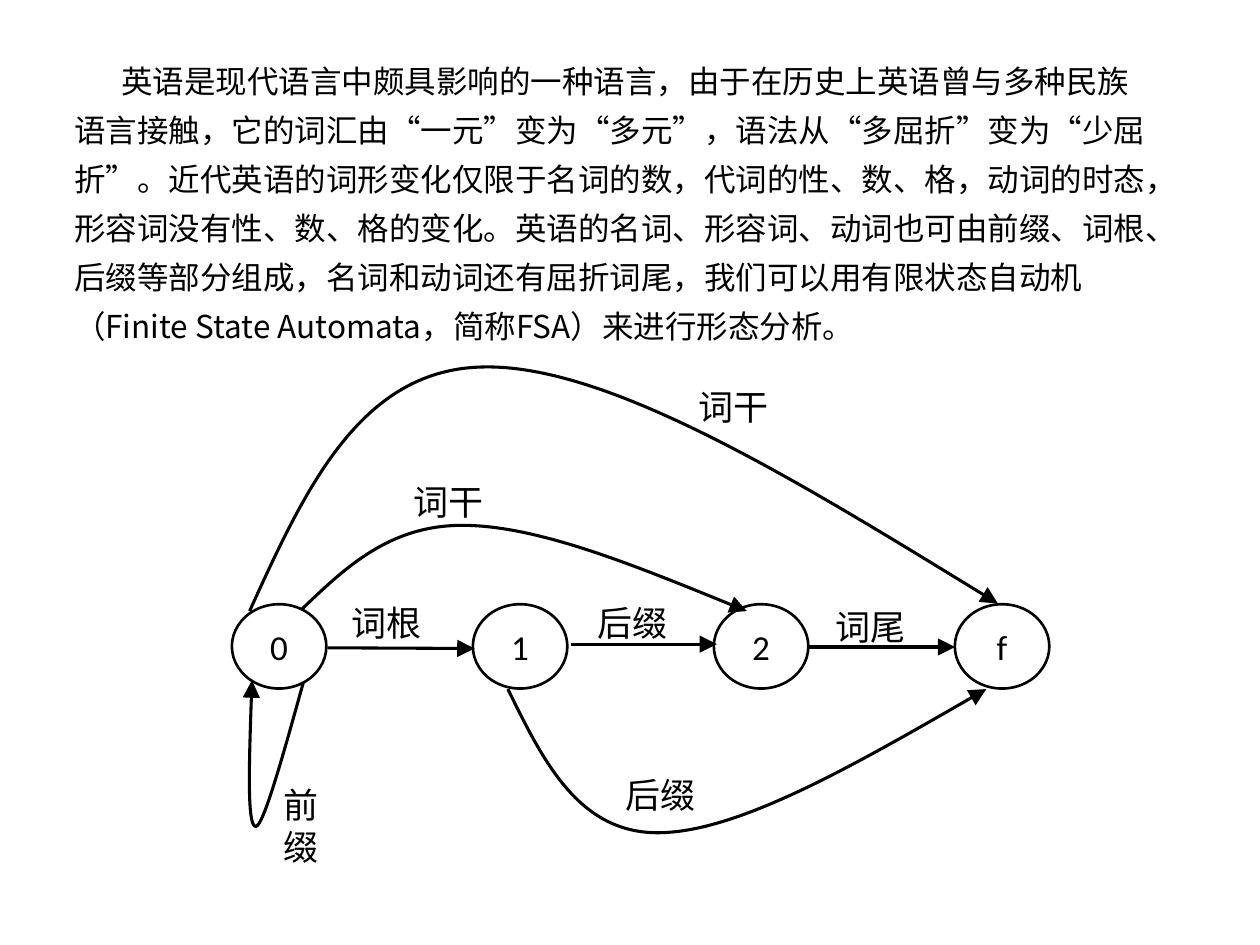
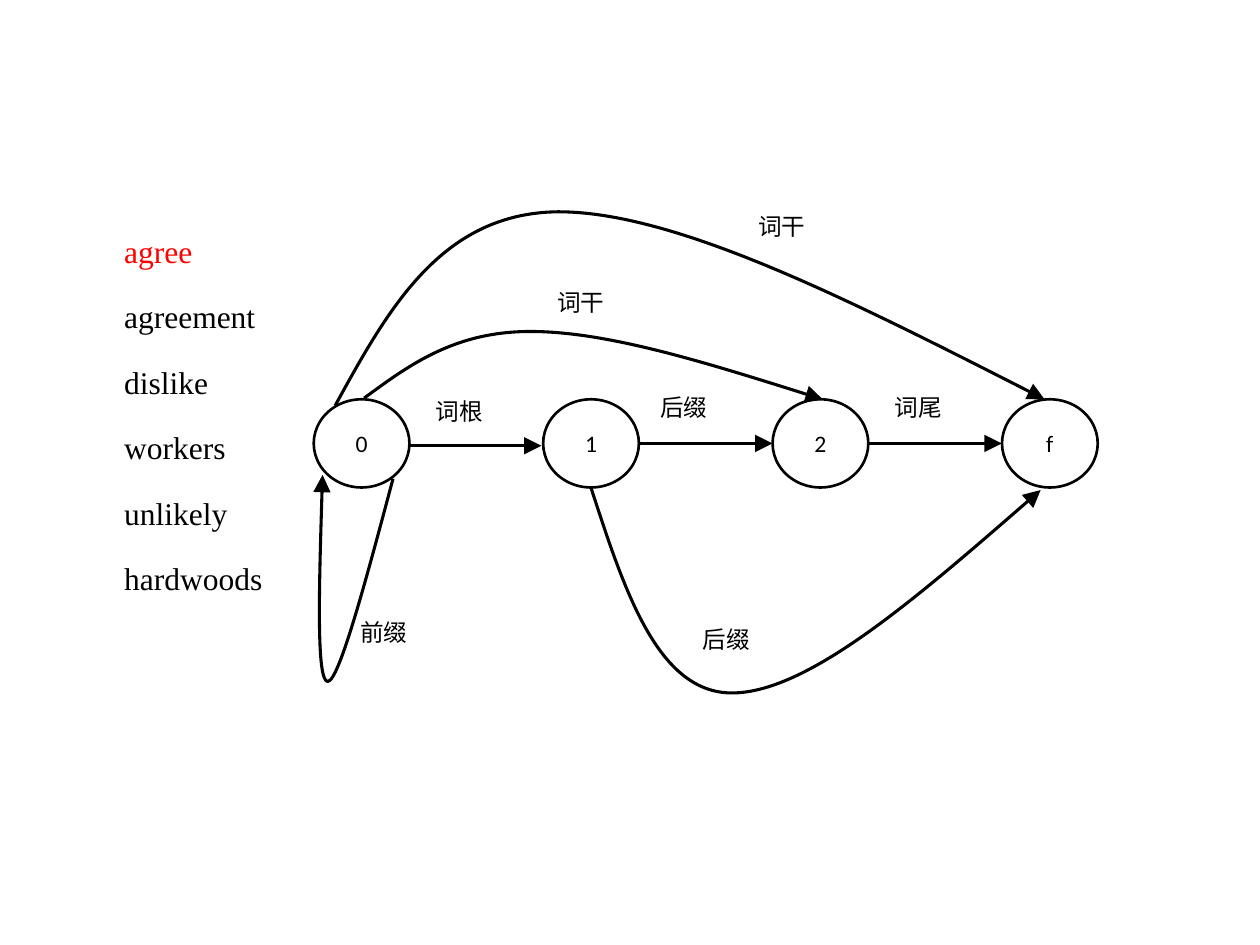
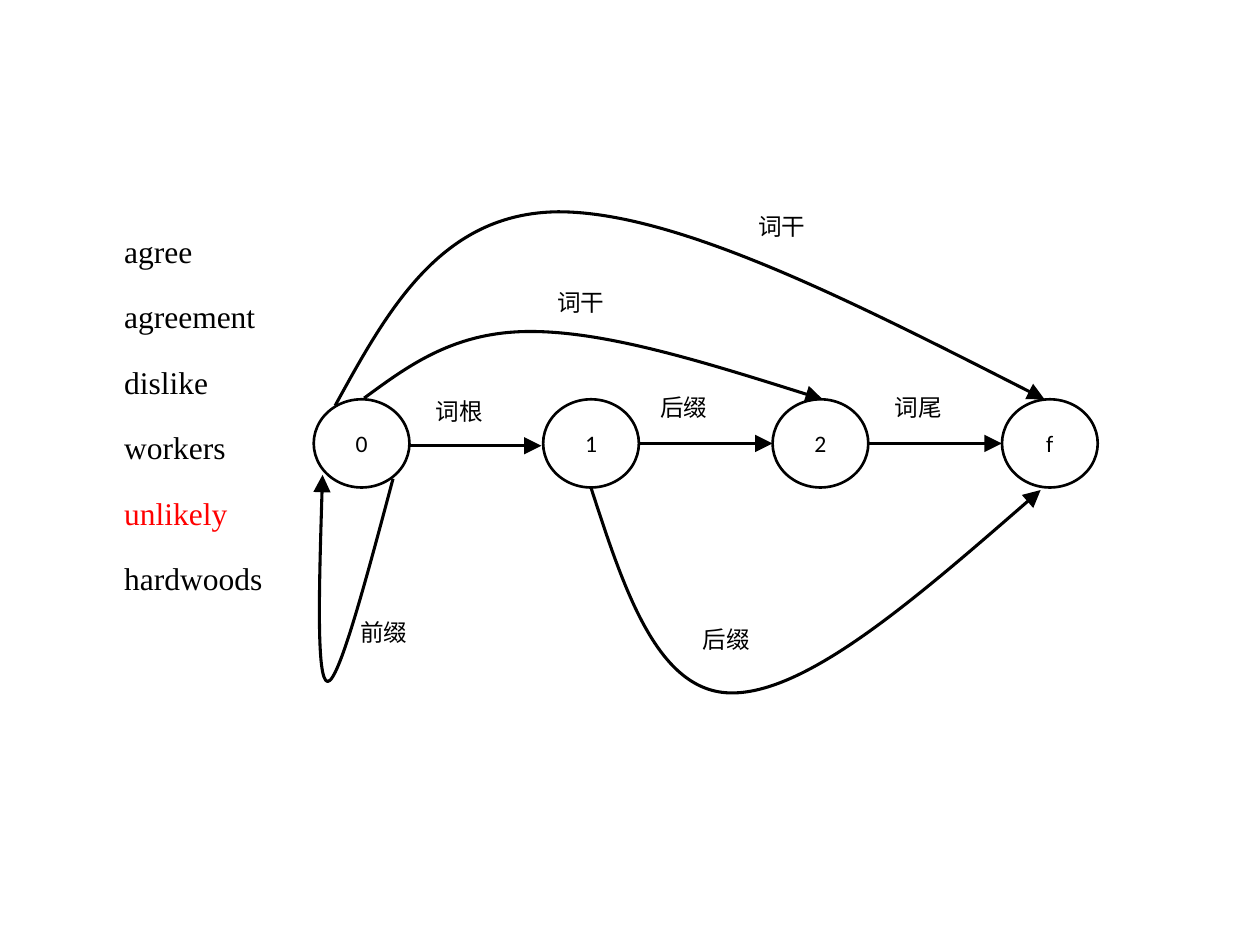
from dataclasses import dataclass

from lxml.etree import SubElement
from pptx import Presentation
from pptx.dml.color import RGBColor
from pptx.enum.shapes import MSO_CONNECTOR as Link, MSO_SHAPE as Form
from pptx.enum.text import MSO_ANCHOR as Anchor, MSO_AUTO_SIZE as Fit, PP_ALIGN as Align
from pptx.oxml.ns import qn
from pptx.slide import Slide
from pptx.text.text import _Paragraph as Para
from pptx.util import Pt

BLACK = RGBColor(0x00, 0x00, 0x00)
RED = RGBColor(0xFF, 0x00, 0x00)
LATIN = "Calibri"
HAN = "Noto Sans CJK SC"
SERIF = "Times New Roman"
EDGE = 1.5
STROKE = 1.75

Point = tuple[float, float]


@dataclass(frozen=True)
class Label:
    text: str
    left: float
    top: float
    width: float
    height: float


@dataclass(frozen=True)
class Arrow:
    start: Point
    end: Point


@dataclass(frozen=True)
class Bend:
    start: Point
    enter: Point
    peak: Point
    leave: Point
    end: Point


@dataclass(frozen=True)
class Graph:
    left: float
    top: float
    pitch: float
    width: float
    height: float
    size: float
    arrows: tuple[Arrow, ...]
    bends: tuple[Bend, ...]
    labels: tuple[Label, ...]


STATES = ("0", "1", "2", "f")
INTRO = (
    "英语是现代语言中颇具影响的一种语言，由于在历史上英语曾与多种民族语言接触，"
    "它的词汇由“一元”变为“多元”，语法从“多屈折”变为“少屈折”。"
    "近代英语的词形变化仅限于名词的数，代词的性、数、格，动词的时态，"
    "形容词没有性、数、格的变化。英语的名词、形容词、动词也可由前缀、词根、"
    "后缀等部分组成，名词和动词还有屈折词尾，我们可以用有限状态自动机"
    "（Finite State Automata，简称FSA）来进行形态分析。"
)
WORDS = {
    "agree": 54,
    "agreement": 90,
    "dislike": 63.4,
    "workers": 73.4,
    "unlikely": 74.2,
    "hardwoods": 94.3,
}

LARGE = Graph(
    132.5, 345.3, 137.7, 54, 48.2, 20,
    (
        Arrow((187.2, 370.2), (271.2, 370.6)),
        Arrow((326.2, 368.1), (409.7, 368.1)),
        Arrow((462.2, 369.7), (545.8, 369.7)),
    ),
    (
        Bend((173.3, 390.2), (150.5, 472.3), (146.2, 472.3), (141.1, 472.3), (144, 388.8)),
        Bend((290.2, 393.8), (330.5, 475.9), (375.8, 475.9), (421.2, 475.9), (563.6, 393.8)),
        Bend((172.1, 348.5), (222.5, 300.2), (264.2, 300.2), (306.7, 300.2), (426.8, 349.2)),
        Bend((142.6, 349.2), (205.9, 210.2), (277.2, 209.7), (348.5, 208.8), (570.2, 344.9)),
    ),
    (
        Label("词根", 193.7, 340.2, 75.6, 31.7),
        Label("后缀", 334.4, 340.2, 61.9, 31.7),
        Label("词尾", 470.2, 342.7, 61.9, 31.7),
        Label("前缀", 154.8, 444.2, 41, 55.4),
        Label("后缀", 350.2, 438.5, 59, 31.7),
        Label("词干", 229, 271.1, 61.9, 31.7),
        Label("词干", 392.1, 216.7, 85.7, 31.7),
    ),
)

SMALL = Graph(
    179.3, 228.2, 131.1, 54.7, 50.4, 13.5,
    (
        Arrow((234, 254.7), (309.4, 254.7)),
        Arrow((365.8, 253.4), (441.4, 253.4)),
        Arrow((496.8, 253.4), (572.4, 253.4)),
    ),
    (
        Bend((224.6, 273.6), (193.7, 389.5), (187.2, 389.5), (180.7, 388.8), (184.3, 271.4)),
        Bend((337.7, 278.6), (375.8, 396), (418.3, 396), (461.5, 396), (594.7, 280.1)),
        Bend((208.1, 227.5), (259.9, 189.4), (303.1, 189.4), (347, 189.4), (470.2, 228.2)),
        Bend((191.5, 231.8), (252, 121.7), (319, 121), (386.6, 121), (596.9, 228.2)),
    ),
    tuple(
        Label(text, left, top, 56.2, 23.8)
        for text, left, top in (
            ("词根", 241.9, 223.2),
            ("后缀", 370.3, 221),
            ("词尾", 504.2, 221),
            ("前缀", 198.9, 349.5),
            ("后缀", 394.6, 353.5),
            ("词干", 311.3, 160.9),
            ("词干", 426.2, 117.7),
        )
    ),
)


def add_run(para: Para, text: str, size: float, face: str, color: RGBColor = BLACK) -> None:
    run = para.add_run()
    run.text = text
    font = run.font
    font.size = Pt(size)
    font.color.rgb = color
    font.name = face
    SubElement(font._element, qn("a:ea"), typeface=HAN)


def add_text(slide: Slide, label: Label, size: float, face: str,
             color: RGBColor = BLACK, wrap: bool = True) -> Para:
    box = slide.shapes.add_textbox(
        Pt(label.left), Pt(label.top), Pt(label.width), Pt(label.height))
    frame = box.text_frame
    frame.word_wrap = wrap
    frame.auto_size = Fit.SHAPE_TO_FIT_TEXT
    para = frame.paragraphs[0]
    add_run(para, label.text, size, face, color)
    return para


def add_state(slide: Slide, label: Label, size: float) -> None:
    oval = slide.shapes.add_shape(
        Form.OVAL, Pt(label.left), Pt(label.top), Pt(label.width), Pt(label.height))
    oval.shadow.inherit = False
    oval.fill.background()
    oval.line.color.rgb = BLACK
    oval.line.width = Pt(EDGE)
    oval.text_frame.vertical_anchor = Anchor.MIDDLE
    para = oval.text_frame.paragraphs[0]
    para.alignment = Align.CENTER
    add_run(para, label.text, size, LATIN)


def set_head(shape) -> None:
    shape.line.color.rgb = BLACK
    shape.line.width = Pt(STROKE)
    SubElement(shape.line._get_or_add_ln(), qn("a:tailEnd"),
               type="triangle", w="lg", len="lg")


def add_arrow(slide: Slide, arrow: Arrow) -> None:
    link = slide.shapes.add_connector(
        Link.STRAIGHT, *(Pt(v) for v in arrow.start + arrow.end))
    set_head(link)
    SubElement(link._element.spPr, qn("a:effectLst"))


def midway(a: Point, b: Point) -> Point:
    return (a[0] + b[0]) / 2, (a[1] + b[1]) / 2


def smooth(curve) -> None:
    track = next(curve._element.iter(qn("a:path")))
    lines = track.findall(qn("a:lnTo"))
    for i in range(0, len(lines), 3):
        cubic = SubElement(track, qn("a:cubicBezTo"))
        for line in lines[i:i + 3]:
            cubic.append(line[0])
            track.remove(line)


def add_bend(slide: Slide, bend: Bend) -> None:
    points = (
        midway(bend.start, bend.enter), bend.enter, bend.peak,
        bend.leave, midway(bend.leave, bend.end), bend.end,
    )
    pen = slide.shapes.build_freeform(Pt(bend.start[0]), Pt(bend.start[1]))
    pen.add_line_segments([(Pt(x), Pt(y)) for x, y in points], close=False)
    curve = pen.convert_to_shape()
    smooth(curve)
    curve.shadow.inherit = False
    curve.fill.background()
    set_head(curve)


def add_graph(slide: Slide, graph: Graph) -> None:
    for i, name in enumerate(STATES):
        left = graph.left + i * graph.pitch
        add_state(slide, Label(name, left, graph.top, graph.width, graph.height), graph.size)
    for arrow in graph.arrows:
        add_arrow(slide, arrow)
    for bend in graph.bends:
        add_bend(slide, bend)
    for label in graph.labels:
        add_text(slide, label, graph.size, LATIN)


def add_words(slide: Slide, chosen: str) -> None:
    for i, (word, width) in enumerate(WORDS.items()):
        label = Label(word, 63.9, 128.9 + i * 37.44, width, 28.8)
        add_text(slide, label, 18, SERIF, RED if word == chosen else BLACK, wrap=False)


def main() -> None:
    deck = Presentation()
    deck.slide_width = Pt(720)
    deck.slide_height = Pt(540)
    blank = deck.slide_layouts[6]

    slide = deck.slides.add_slide(blank)
    para = add_text(slide, Label(INTRO, 35.3, 25.2, 629.3, 177.1), 18, HAN)
    para.line_spacing = 1.3
    para._p.get_or_add_pPr().set("indent", str(Pt(27)))
    add_graph(slide, LARGE)

    for chosen in ("agree", "unlikely"):
        slide = deck.slides.add_slide(blank)
        add_graph(slide, SMALL)
        add_words(slide, chosen)

    deck.save("out.pptx")


if __name__ == "__main__":
    main()
